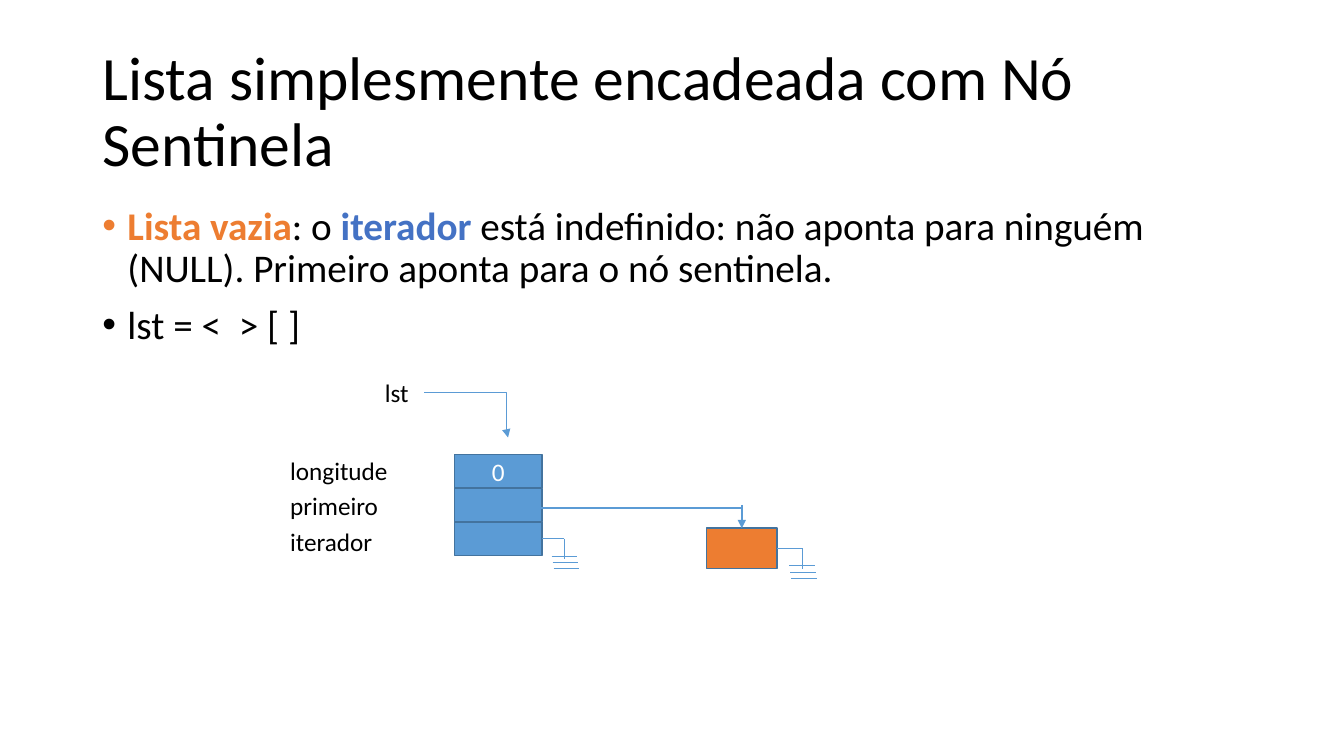
from dataclasses import dataclass

from lxml import etree
from pptx import Presentation
from pptx.dml.color import RGBColor
from pptx.enum.shapes import MSO_CONNECTOR, MSO_SHAPE
from pptx.enum.text import MSO_ANCHOR, MSO_AUTO_SIZE, PP_ALIGN
from pptx.oxml.ns import qn
from pptx.util import Pt

STRAIGHT, ELBOW = MSO_CONNECTOR.STRAIGHT, MSO_CONNECTOR.ELBOW
RECTANGLE = MSO_SHAPE.RECTANGLE
MIDDLE = MSO_ANCHOR.MIDDLE
NO_FIT, GROW = MSO_AUTO_SIZE.NONE, MSO_AUTO_SIZE.SHAPE_TO_FIT_TEXT
LEFT, CENTER = PP_ALIGN.LEFT, PP_ALIGN.CENTER
TOP_SIDE, RIGHT_SIDE = 0, 3


@dataclass(frozen=True)
class Theme:
    font: str = "Calibri"
    text: str = "000000"
    on_fill: str = "FFFFFF"
    orange: str = "ED7D31"
    blue: str = "4472C4"
    cell: str = "5B9BD5"
    border: str = "43739E"
    title_size: float = 44
    body_size: float = 28
    label_size: float = 18
    thin: float = 0.5
    thick: float = 1.75


THEME = Theme()


def set_all(obj, **values):
    for name, value in values.items():
        setattr(obj, name, value)


def add_run(p, text, size, color=THEME.text, bold=False):
    r = p.add_run()
    r.text = text
    set_all(r.font, name=THEME.font, size=Pt(size), bold=bold)
    r.font.color.rgb = RGBColor.from_string(color)


def add_bullet(p, indent):
    pPr = p._p.get_or_add_pPr()
    pPr.set("marL", str(Pt(indent)))
    pPr.set("indent", str(-Pt(indent)))
    etree.SubElement(pPr, qn("a:buFont")).set("typeface", "Arial")
    etree.SubElement(pPr, qn("a:buChar")).set("char", "•")


def add_label(slide, text, x, y, w, h):
    sp = slide.shapes.add_textbox(Pt(x), Pt(y), Pt(w), Pt(h))
    tf = sp.text_frame
    set_all(tf, word_wrap=True, auto_size=GROW)
    add_run(tf.paragraphs[0], text, THEME.label_size)


def add_cell(slide, x, y, w, h, fill, text=""):
    sp = slide.shapes.add_shape(RECTANGLE, Pt(x), Pt(y), Pt(w), Pt(h))
    sp.shadow.inherit = False
    sp.fill.solid()
    sp.fill.fore_color.rgb = RGBColor.from_string(fill)
    sp.line.color.rgb = RGBColor.from_string(THEME.border)
    sp.line.width = Pt(1)
    if text:
        sp.text_frame.vertical_anchor = MIDDLE
        p = sp.text_frame.paragraphs[0]
        p.alignment = CENTER
        add_run(p, text, THEME.label_size, THEME.on_fill)
    return sp


def add_line(parent, x1, y1, x2, y2, width=THEME.thin, kind=STRAIGHT, arrow=False):
    line = parent.shapes.add_connector(kind, Pt(x1), Pt(y1), Pt(x2), Pt(y2))
    line.line.color.rgb = RGBColor.from_string(THEME.cell)
    line.line.width = Pt(width)
    spPr = line._element.spPr
    if arrow:
        etree.SubElement(spPr.find(qn("a:ln")), qn("a:tailEnd")).set("type", "triangle")
    etree.SubElement(spPr, qn("a:effectLst"))
    return line


def add_ground(slide, cell, x, y, stem_x):
    """Draw the NULL symbol of a cell whose right side has its middle at x, y."""
    group = slide.shapes.add_group_shape()
    add_line(group, x, y, stem_x, y).begin_connect(cell, RIGHT_SIDE)
    add_line(group, stem_x, y, stem_x, y + 14.4)
    for i in range(3):
        bar_x, bar_y = stem_x - 9.2 + 0.7 * i, y + 12.4 + 4.4 * i
        add_line(group, bar_x, bar_y, bar_x + 18.4, bar_y)


def add_title(slide, text, x, y, w, h):
    sp = slide.shapes.title
    set_all(sp, left=Pt(x), top=Pt(y), width=Pt(w), height=Pt(h))
    tf = sp.text_frame
    set_all(tf, word_wrap=True, auto_size=NO_FIT, vertical_anchor=MIDDLE)
    p = tf.paragraphs[0]
    set_all(p, alignment=LEFT, line_spacing=0.9)
    add_run(p, text, THEME.title_size)


def add_body(slide, paragraphs, x, y, w, h):
    tf = slide.shapes.add_textbox(Pt(x), Pt(y), Pt(w), Pt(h)).text_frame
    set_all(tf, word_wrap=True, auto_size=NO_FIT)
    for i, runs in enumerate(paragraphs):
        p = tf.add_paragraph() if i else tf.paragraphs[0]
        set_all(p, line_spacing=0.9, space_before=Pt(10))
        add_bullet(p, 18)
        for text, color, bold in runs:
            add_run(p, text, THEME.body_size, color, bold)


def add_list_header(slide, x, y):
    """Draw the list record and its labels; x, y is the corner of the labels."""
    cell_x, cell_y, cell_w, cell_h, pitch = x + 124.5, y + 2.9, 62.6, 23.8, 24.1
    fields = [("longitude", "0"), ("primeiro", ""), ("iterador", "")]
    for i, (name, value) in enumerate(fields):
        cell = add_cell(slide, cell_x, cell_y + pitch * i, cell_w, cell_h, THEME.cell, value)
        add_label(slide, name, x, y + 25.2 * i, 95.8, 28.8)
    right = cell_x + cell_w
    add_ground(slide, cell, right, cell_y + 2 * pitch + cell_h / 2, right + 15.9)


def add_list_pointer(slide, x, y):
    add_label(slide, "lst", x, y, 35.3, 28.8)
    start_x, start_y = x + 35.3, y + 14.4
    line = add_line(slide, start_x, start_y, start_x + 59.8, start_y + 32.4,
                    kind=ELBOW, arrow=True)
    geom = line._element.spPr.find(qn("a:prstGeom"))
    guides = geom.find(qn("a:avLst"))
    if guides is None:
        guides = etree.SubElement(geom, qn("a:avLst"))
    guide = etree.SubElement(guides, qn("a:gd"))
    guide.set("name", "adj1")
    guide.set("fmla", "val 98200")


def add_sentinel(slide, x, y, w, h, link_x):
    """Draw the sentinel node and the link that reaches it from link_x."""
    node = add_cell(slide, x, y, w, h, THEME.orange)
    add_ground(slide, node, x + w, y + h / 2, x + w + 18)
    center = x + w / 2
    add_line(slide, link_x, y - 14.4, center, y - 14.4, THEME.thick)
    drop = add_line(slide, center, y - 16.6, center, y, THEME.thick, arrow=True)
    drop.end_connect(node, TOP_SIDE)


def main():
    prs = Presentation()
    set_all(prs, slide_width=Pt(960), slide_height=Pt(540))
    slide = prs.slides.add_slide(prs.slide_layouts.get_by_name("Title Only"))
    add_title(slide, "Lista simplesmente encadeada com Nó Sentinela", 66, 28.8, 828, 104.4)
    add_body(slide, [
        [("Lista vazia", THEME.orange, True),
         (": o ", THEME.text, False),
         ("iterador", THEME.blue, True),
         (" está indefinido: não aponta para ninguém (NULL). "
          "Primeiro aponta para o nó sentinela.", THEME.text, False)],
        [("lst = <  > [ ]", THEME.text, False)],
    ], 66, 144, 828, 342.7)
    add_list_header(slide, 200.2, 321.8)
    add_list_pointer(slide, 267.8, 265.7)
    add_sentinel(slide, 504.7, 377.3, 50.4, 28.8, 373.7)
    prs.save("out.pptx")


if __name__ == "__main__":
    main()
